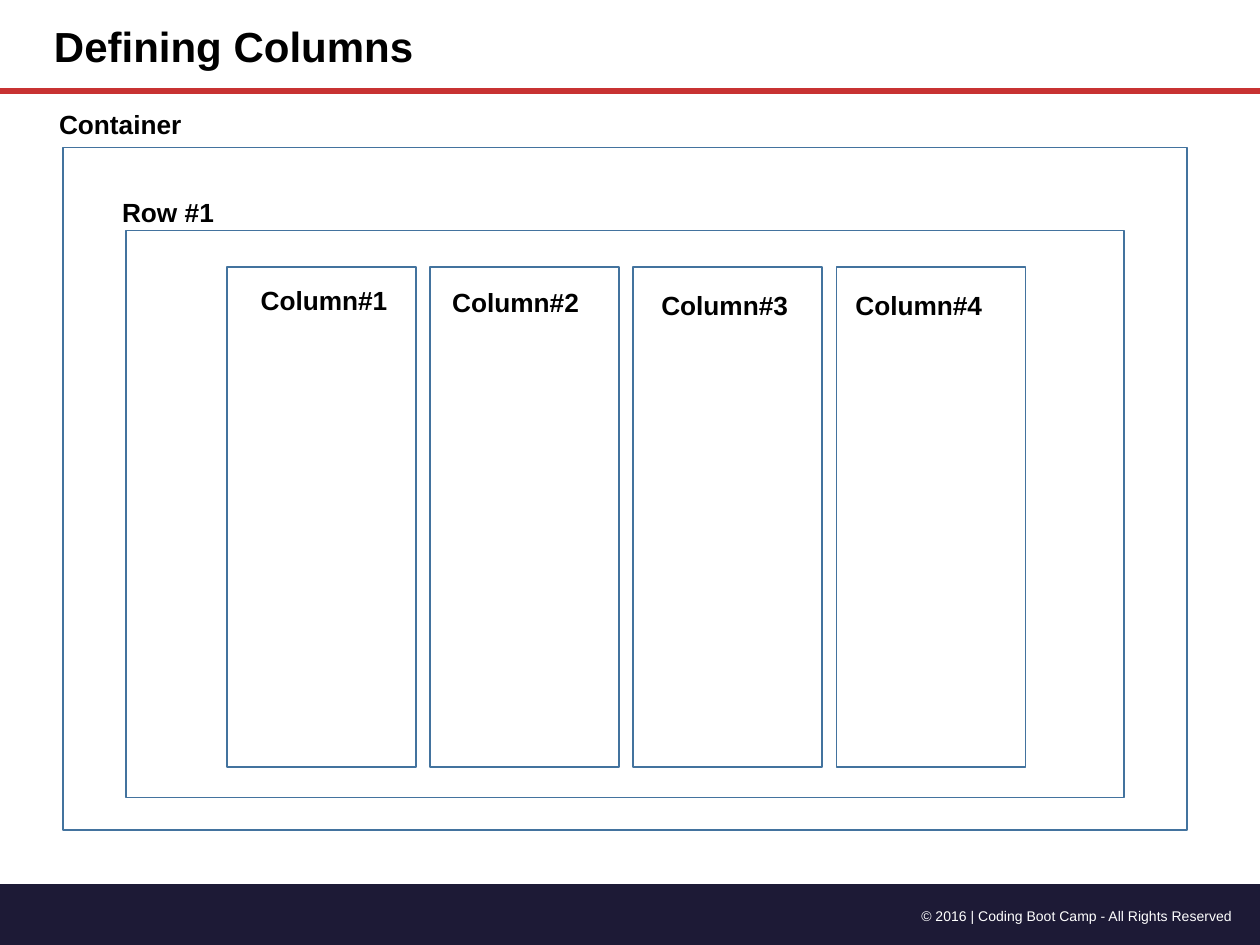
import pptx
import pptx.dml.color
import pptx.enum.shapes
import pptx.enum.text
import pptx.util
from lxml import etree
from pptx.oxml.ns import qn
from pptx.util import Inches

SHAPES = pptx.enum.shapes.MSO_SHAPE
ALIGN = pptx.enum.text.PP_ALIGN


def color(hex_value):
    return pptx.dml.color.RGBColor.from_string(hex_value)


def add_text(text, left, top, width, height, size=15, bold=True,
             hex_color="000000", align=ALIGN.LEFT):
    box = slide.shapes.add_textbox(
        Inches(left), Inches(top), Inches(width), Inches(height))
    frame = box.text_frame
    frame.word_wrap = True
    frame.auto_size = pptx.enum.text.MSO_AUTO_SIZE.SHAPE_TO_FIT_TEXT
    para = frame.paragraphs[0]
    para.alignment = align
    span = para.add_run()
    span.text = text
    span.font.name = "Arial"
    span.font.size = pptx.util.Pt(size)
    span.font.bold = bold
    span.font.color.rgb = color(hex_color)


deck = pptx.Presentation()
deck.slide_width = Inches(10)
deck.slide_height = Inches(7.5)
slide = deck.slides.add_slide(deck.slide_layouts[6])

# Footer
footer = slide.shapes.add_shape(
    SHAPES.FLOWCHART_PROCESS, Inches(0), Inches(7.02), Inches(10.01), Inches(0.5))
footer.shadow.inherit = False
footer.fill.solid()
footer.fill.fore_color.rgb = color("1D1A36")
footer.line.fill.background()
add_text("© 2016 | Coding Boot Camp - All Rights Reserved", 6.83, 7.15, 3.05, 0.24,
         size=8, bold=False, hex_color="FFFFFF", align=ALIGN.RIGHT)

# Title and rule
rule = slide.shapes.add_connector(
    pptx.enum.shapes.MSO_CONNECTOR.STRAIGHT,
    Inches(0), Inches(0.72), Inches(10), Inches(0.72))
rule.line.color.rgb = color("C83232")
rule.line.width = pptx.util.Pt(3.25)
etree.SubElement(rule.element.spPr, qn("a:effectLst"))
add_text("Defining Columns", 0.33, 0.11, 5.58, 0.5, size=24)

# Nested frames: container, row, four evenly spaced columns
frames = [(0.5, 1.17, 8.92, 5.42), (1, 1.83, 7.92, 4.5)]
frames += [(1.8 + 1.613 * index, 2.12, 1.5, 3.97) for index in range(4)]
for left, top, width, height in frames:
    outline = slide.shapes.add_shape(
        SHAPES.RECTANGLE, Inches(left), Inches(top), Inches(width), Inches(height))
    outline.shadow.inherit = False
    outline.fill.background()
    outline.line.color.rgb = color("43739E")
    outline.line.width = pptx.util.Pt(1)

# Labels
add_text("Container", 0.37, 0.81, 5.58, 0.35)
add_text("Row #1", 0.87, 1.51, 5.58, 0.35)
column_labels = [(1.97, 2.21), (3.49, 2.22), (5.15, 2.25), (6.69, 2.25)]
for number, (left, top) in enumerate(column_labels, start=1):
    add_text(f"Column#{number}", left, top, 1.24, 0.35)

deck.save("out.pptx")
